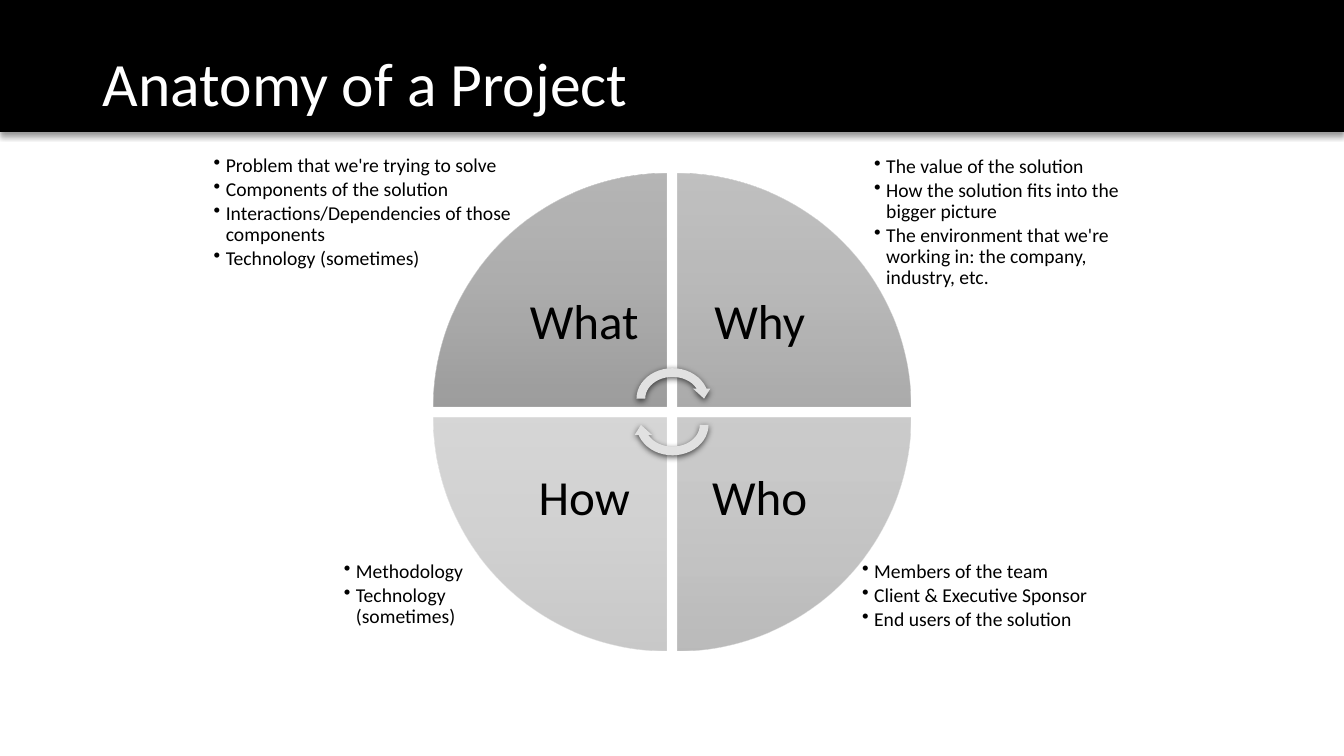
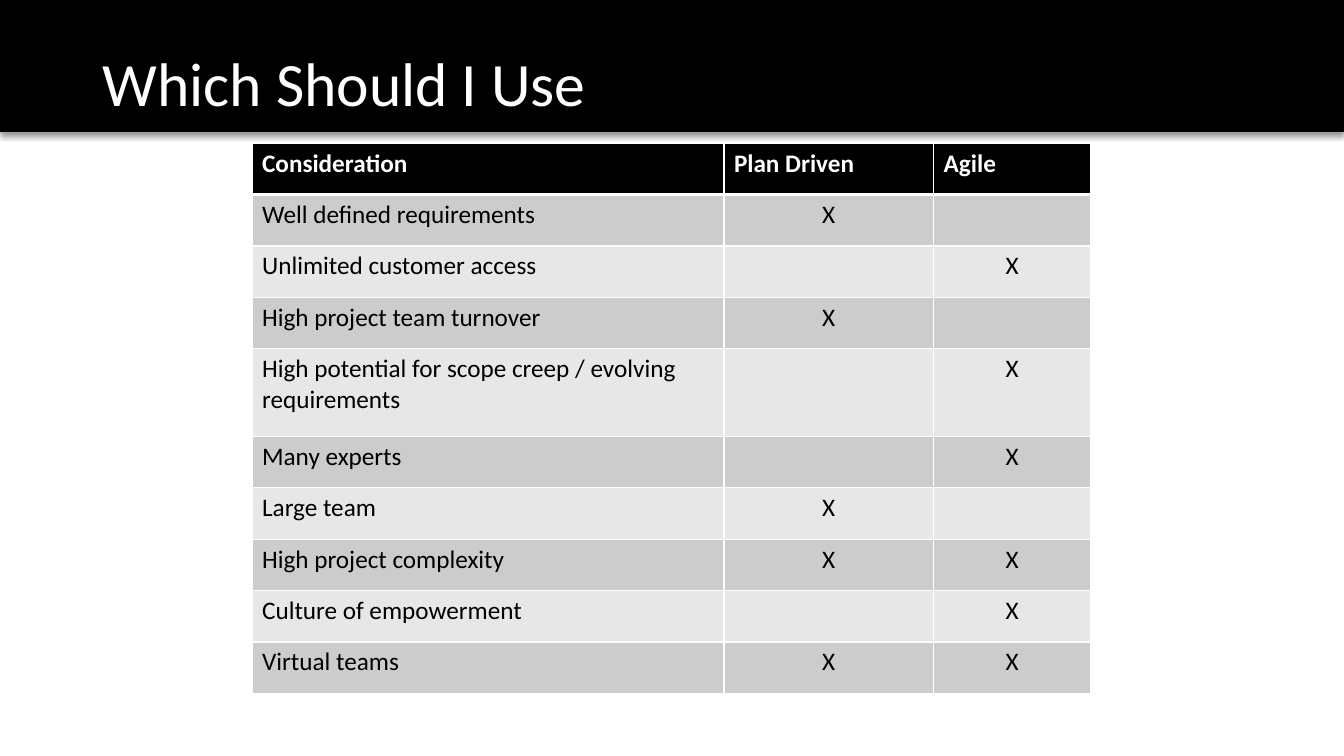
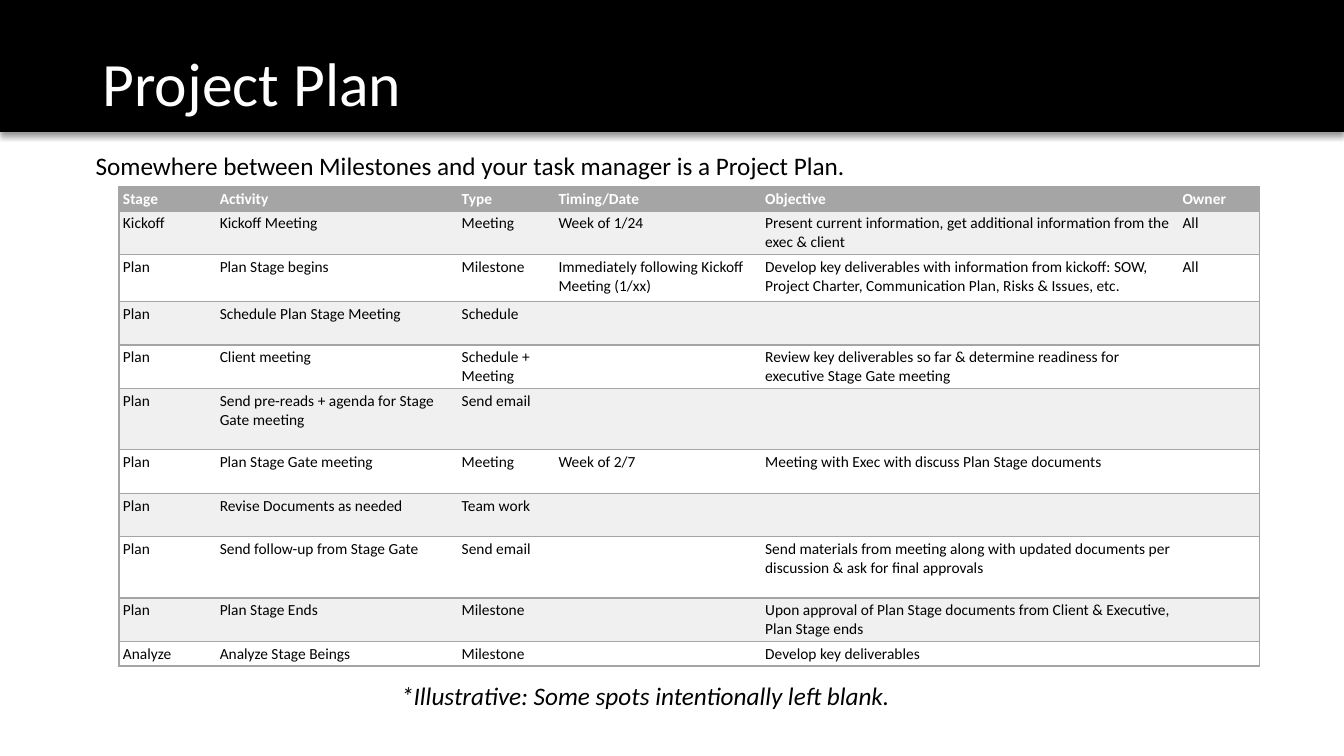
"""Build three project-management slides: a quadrant diagram and two tables."""
from lxml import etree
from pptx import Presentation
from pptx import util as u
from pptx.dml.color import RGBColor
from pptx.enum import shapes, text
from pptx.oxml import parse_xml
from pptx.oxml.ns import nsdecls, qn


class Theme:
    font = "Calibri"
    black, white = "000000", "FFFFFF"
    grey, arrow = "A5A5A5", "E1E1E1"
    wedge = ((0, "AFAFAF"), (50, "A5A5A5"), (100, "939393"))
    dark_band, light_band, pale_band = "CCCCCC", "E7E7E7", "F0F0F0"
    title, label, body, bullet, small = 44, 35, 18, 14, 11
    plain_table = "{2D5ABB26-0587-4C30-8999-92F81FD0307C}"


def style(p, size, color, bold=False, italic=False):
    p._p.get_or_add_endParaRPr().set("sz", str(size * 100))
    for r in p.runs:
        r.font.name, r.font.size = Theme.font, u.Pt(size)
        r.font.bold, r.font.italic = bold, italic
        r.font.color.rgb = RGBColor.from_string(color)


def solid(sp, color, alpha, blur, dist):
    sp.fill.solid()
    sp.fill.fore_color.rgb = RGBColor.from_string(color)
    sp.line.fill.background()
    sp.shadow.inherit = False
    sp._element.spPr.find(qn("a:effectLst")).append(parse_xml(
        f'<a:outerShdw {nsdecls("a")} blurRad="{u.Pt(blur)}" dist="{u.Pt(dist)}" dir="5400000" '
        f'rotWithShape="0"><a:srgbClr val="000000"><a:alpha val="{alpha * 1000}"/></a:srgbClr></a:outerShdw>'))


prs = Presentation()
prs.slide_width, prs.slide_height = u.Inches(13.33), u.Inches(7.5)

slides = []
for title in ("Anatomy of a Project", "Which Should I Use", "Project Plan"):
    s = prs.slides.add_slide(prs.slide_layouts[6])
    band = s.shapes.add_shape(shapes.MSO_SHAPE.RECTANGLE, 0, 0, prs.slide_width, u.Inches(1.31))
    solid(band, Theme.black, 40, 4, 3)
    tf = s.shapes.add_textbox(u.Inches(0.92), u.Inches(0.4), u.Inches(11.5), u.Inches(0.91)).text_frame
    tf.word_wrap = True
    tf.vertical_anchor = text.MSO_ANCHOR.MIDDLE
    tf.text = title
    tf.paragraphs[0].line_spacing = 0.9
    style(tf.paragraphs[0], Theme.title, Theme.white)
    slides.append(s)
anatomy, choice, plan = slides

notes = (
    (2.12, 1.47, 3.06, 0, text.MSO_ANCHOR.BOTTOM, (
        "Problem that we're trying to solve",
        "Components of the solution",
        "Interactions/Dependencies of those components",
        "Technology (sometimes)")),
    (8.61, 1.49, 2.72, 0.06, text.MSO_ANCHOR.TOP, (
        "The value of the solution",
        "How the solution fits into the bigger picture",
        "The environment that we're working in: the company, industry, etc.")),
    (8.49, 5.51, 2.41, 0.06, text.MSO_ANCHOR.TOP, (
        "Members of the team",
        "Client & Executive Sponsor",
        "End users of the solution")),
    (3.35, 5.51, 1.77, 0.06, text.MSO_ANCHOR.TOP, (
        "Methodology",
        "Technology (sometimes)")),
)
for x, y, w, inset, anchor, lines in notes:
    tf = anatomy.shapes.add_textbox(u.Inches(x), u.Inches(y), u.Inches(w), u.Inches(1.21)).text_frame
    tf.word_wrap = True
    tf.vertical_anchor = anchor
    tf.margin_left = tf.margin_right = tf.margin_top = tf.margin_bottom = u.Inches(inset)
    tf.text = "\n".join(lines)
    for p in tf.paragraphs:
        p.line_spacing, p.space_after = 0.9, u.Pt(2)
        pPr = p._p.get_or_add_pPr()
        pPr.set("marL", str(u.Inches(0.12)))
        pPr.set("indent", str(-u.Inches(0.12)))
        etree.SubElement(pPr, qn("a:buChar")).set("char", "•")
        style(p, Theme.bullet, Theme.black)

wedge_size, label_size = 2.31, 1.63
quadrants = (("What", 4.3, 1.72, 90), ("Why", 6.72, 1.72, 77), ("Who", 6.72, 4.14, 63), ("How", 4.3, 4.14, 50))
for i, (name, x, y, alpha) in enumerate(quadrants):
    sp = anatomy.shapes.add_shape(shapes.MSO_SHAPE.PIE_WEDGE, u.Inches(x), u.Inches(y),
                                  u.Inches(wedge_size), u.Inches(wedge_size))
    sp.rotation = 90 * i
    stops = "".join(f'<a:gs pos="{pos * 1000}"><a:srgbClr val="{c}"><a:alpha val="{alpha * 1000}"/></a:srgbClr></a:gs>'
                    for pos, c in Theme.wedge)
    sp._element.spPr.insert(2, parse_xml(
        f'<a:gradFill {nsdecls("a")} rotWithShape="0"><a:gsLst>{stops}</a:gsLst>'
        '<a:lin ang="5400000" scaled="0"/></a:gradFill>'))
    sp.line.fill.background()
    sp.shadow.inherit = False
    inner = wedge_size - label_size
    label_x = x + inner if name in ("What", "How") else x
    label_y = y + inner if name in ("What", "Why") else y
    tf = anatomy.shapes.add_textbox(u.Inches(label_x), u.Inches(label_y),
                                    u.Inches(label_size), u.Inches(label_size)).text_frame
    tf.word_wrap = True
    tf.vertical_anchor = text.MSO_ANCHOR.MIDDLE
    tf.margin_left = tf.margin_right = tf.margin_top = tf.margin_bottom = u.Inches(0.27)
    tf.text = name
    p = tf.paragraphs[0]
    p.alignment, p.line_spacing = text.PP_ALIGN.CENTER, 0.9
    style(p, Theme.label, Theme.black)

for y, rotation in ((3.61, 0), (3.87, 180)):
    sp = anatomy.shapes.add_shape(shapes.MSO_SHAPE.CIRCULAR_ARROW, u.Inches(6.27), u.Inches(y),
                                  u.Inches(0.8), u.Inches(0.69))
    sp.rotation = rotation
    solid(sp, Theme.arrow, 63, 4.5, 1.5)

considerations = (
    ("Consideration", "Plan Driven", "Agile"),
    ("Well defined requirements", "X", ""),
    ("Unlimited customer access", "", "X"),
    ("High project team turnover", "X", ""),
    ("High potential for scope creep / evolving requirements", "", "X"),
    ("Many experts", "", "X"),
    ("Large team", "X", ""),
    ("High project complexity", "X", "X"),
    ("Culture of empowerment", "", "X"),
    ("Virtual teams", "X", "X"),
)
activities = (
    ("Stage", "Activity", "Type", "Timing/Date", "Objective", "Owner"),
    ("Kickoff", "Kickoff Meeting", "Meeting", "Week of 1/24",
     "Present current information, get additional information from the exec & client", "All"),
    ("Plan", "Plan Stage begins", "Milestone", "Immediately following Kickoff Meeting (1/xx)",
     "Develop key deliverables with information from kickoff: SOW, Project Charter, "
     "Communication Plan, Risks & Issues, etc.", "All"),
    ("Plan", "Schedule Plan Stage Meeting", "Schedule", "", "", ""),
    ("Plan", "Client meeting", "Schedule + Meeting", "",
     "Review key deliverables so far & determine readiness for executive Stage Gate meeting", ""),
    ("Plan", "Send pre-reads + agenda for Stage Gate meeting", "Send email", "", "", ""),
    ("Plan", "Plan Stage Gate meeting", "Meeting", "Week of 2/7",
     "Meeting with Exec with discuss Plan Stage documents", ""),
    ("Plan", "Revise Documents as needed", "Team work", "", "", ""),
    ("Plan", "Send follow-up from Stage Gate", "Send email", "",
     "Send materials from meeting along with updated documents per discussion & ask for final approvals", ""),
    ("Plan", "Plan Stage Ends", "Milestone", "",
     "Upon approval of Plan Stage documents from Client & Executive, Plan Stage ends", ""),
    ("Analyze", "Analyze Stage Beings", "Milestone", "", "Develop key deliverables", ""),
)
tables = (
    dict(slide=choice, at=(2.5, 1.42), data=considerations, cols=(4.68, 2.08, 1.56),
         rows=[0.51] * 4 + [0.87] + [0.51] * 5, size=Theme.body, inset=(0.1, 0.05),
         header=Theme.black, bands=(Theme.dark_band, Theme.light_band),
         line=Theme.white, grid=True, header_rule=3),
    dict(slide=plan, at=(1.18, 1.85), data=activities, cols=(0.96, 2.4, 0.96, 2.05, 4.14, 0.8),
         rows=(0.24, 0.43, 0.47, 0.43, 0.43, 0.61, 0.43, 0.43, 0.61, 0.43, 0.24),
         size=Theme.small, inset=(0.04, 0.03),
         header=Theme.grey, bands=(Theme.pale_band, Theme.white),
         line=Theme.grey, grid=False, header_rule=1),
)
for t in tables:
    x, y = t["at"]
    last = len(t["cols"]) - 1
    frame = t["slide"].shapes.add_table(len(t["rows"]), last + 1, u.Inches(x), u.Inches(y),
                                        u.Inches(sum(t["cols"])), u.Inches(sum(t["rows"])))
    tbl = frame.table
    tbl._tbl.tblPr.find(qn("a:tableStyleId")).text = Theme.plain_table
    for col, w in zip(tbl.columns, t["cols"]):
        col.width = u.Inches(w)
    for i, (row, h) in enumerate(zip(tbl.rows, t["rows"])):
        row.height = u.Inches(h)
        for j, cell in enumerate(row.cells):
            sides = {"L": t["grid"] or j == 0, "R": t["grid"] or j == last, "T": True, "B": True}
            for side in (k for k, shown in sides.items() if shown):
                pt = t["header_rule"] if (i, side) in ((0, "B"), (1, "T")) else 1
                cell._tc.get_or_add_tcPr().append(parse_xml(
                    f'<a:ln{side} {nsdecls("a")} w="{u.Pt(pt)}"><a:solidFill>'
                    f'<a:srgbClr val="{t["line"]}"/></a:solidFill></a:ln{side}>'))
            cell.fill.solid()
            cell.fill.fore_color.rgb = RGBColor.from_string(t["bands"][(i - 1) % 2] if i else t["header"])
            cell.margin_left = cell.margin_right = u.Inches(t["inset"][0])
            cell.margin_top = cell.margin_bottom = u.Inches(t["inset"][1])
            cell.text = t["data"][i][j]
            p = cell.text_frame.paragraphs[0]
            if cell.text == "X":
                p.alignment = text.PP_ALIGN.CENTER
            style(p, t["size"], Theme.black if i else Theme.white, bold=i == 0)

captions = (
    (0.85, 1.44, 7.78, "Somewhere between Milestones and your task manager is a Project Plan.", False),
    (3.88, 6.7, 5.11, "*Illustrative: Some spots intentionally left blank.", True),
)
for x, y, w, caption, italic in captions:
    tf = plan.shapes.add_textbox(u.Inches(x), u.Inches(y), u.Inches(w), u.Inches(0.4)).text_frame
    tf.word_wrap = False
    tf.text = caption
    style(tf.paragraphs[0], Theme.body, Theme.black, italic=italic)

prs.save("out.pptx")
